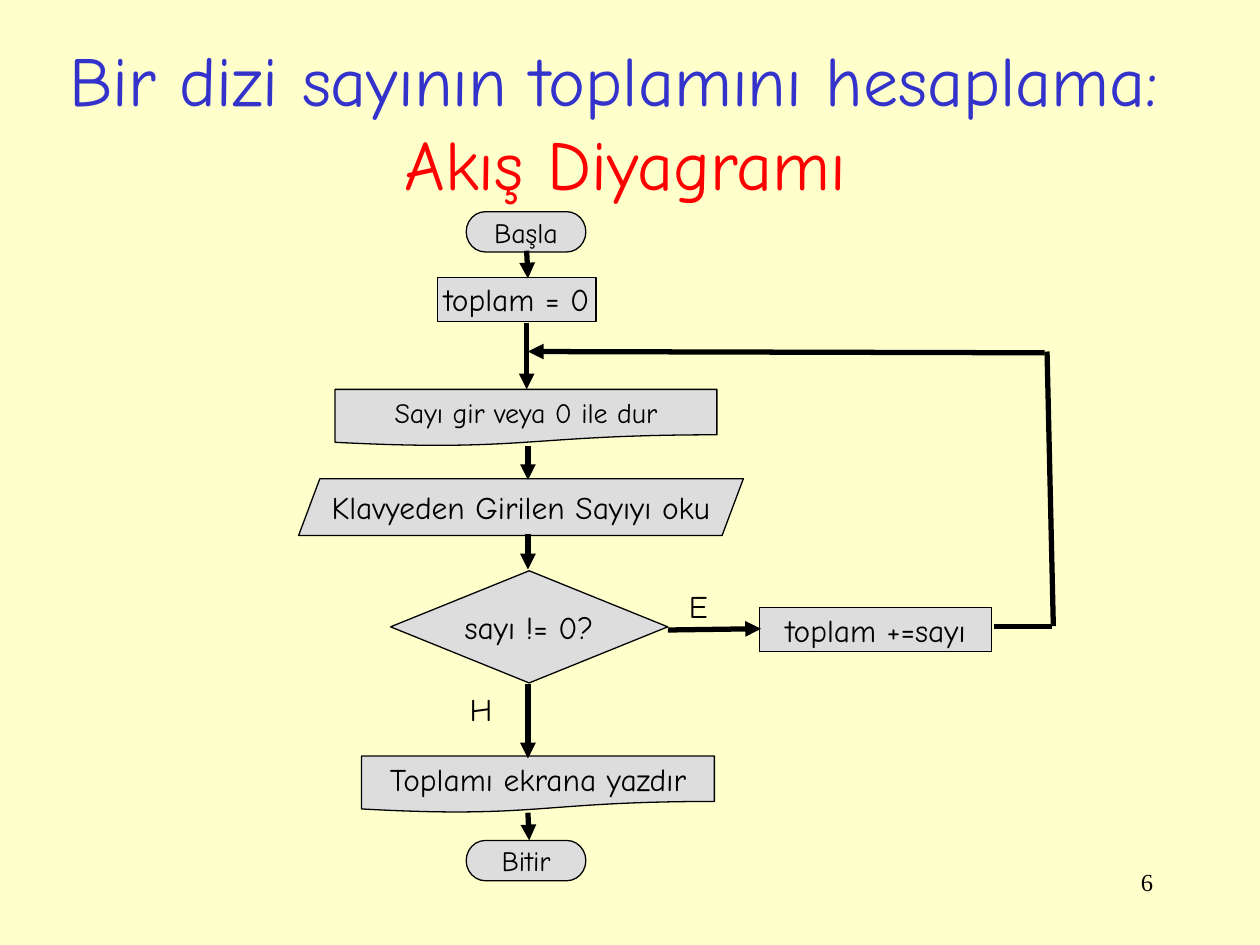
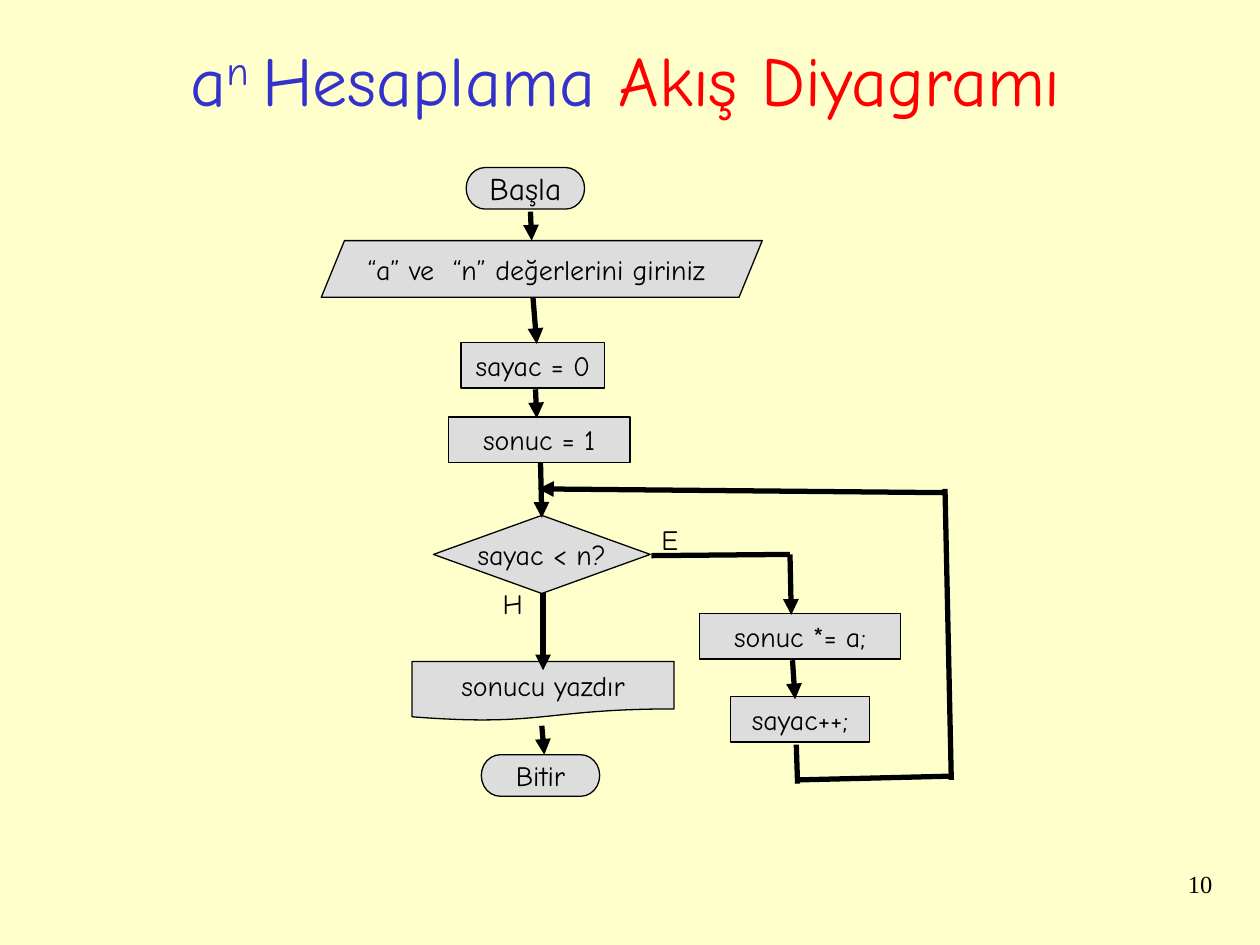
from lxml.etree import SubElement as Sub
from pptx import Presentation
from pptx.dml.color import RGBColor
from pptx.enum.shapes import MSO_CONNECTOR, MSO_SHAPE as Kind
from pptx.enum.text import MSO_ANCHOR as Anchor, PP_ALIGN as Align
from pptx.oxml.ns import qn
from pptx.util import Inches, Pt

CREAM = RGBColor(0xFF, 0xFF, 0xCC)
BLUE = RGBColor(0x33, 0x33, 0xCC)
RED = RGBColor(0xFF, 0, 0)
BLACK = RGBColor(0, 0, 0)
GREY = RGBColor(0xDD, 0xDD, 0xDD)
COMIC, TIMES = "Comic Neue", "Times New Roman"

deck = Presentation()
deck.slide_width, deck.slide_height = Inches(10), Inches(7.5)
COL, ROW = deck.slide_width / 10, deck.slide_height / 7.5
back = deck.slide_master.background.fill
back.solid()
back.fore_color.rgb = CREAM


def grid(x, y, *rest):
    steps = (COL, ROW) * 2
    return [round(n * step) for n, step in zip((x, y, *rest), steps)]


def write(para, text, size, color=BLACK, font=COMIC, base=0):
    run = para.add_run()
    run.text = text
    run.font.size, run.font.name = Pt(size), font
    run.font.color.rgb = color
    if base:
        run._r.get_or_add_rPr().set("baseline", str(base * 1000))


def title(page, box, lines):
    frame = page.shapes.add_textbox(*grid(*box)).text_frame
    frame.word_wrap = True
    frame.vertical_anchor = Anchor.MIDDLE
    para = frame.paragraphs[0]
    para.alignment = Align.CENTER
    for i, line in enumerate(lines):
        if i:
            para.add_line_break()
        for text, color, base in line:
            write(para, text, 40, color, base=base)


def number(page, box, text):
    frame = page.shapes.add_textbox(*grid(*box)).text_frame
    frame.word_wrap = True
    para = frame.paragraphs[0]
    para.alignment = Align.RIGHT
    write(para, text, 14, font=TIMES)


def step(shapes, kind, box, text, size):
    shape = shapes.add_shape(kind, *grid(*box))
    shape.shadow.inherit = False
    shape.fill.solid()
    shape.fill.fore_color.rgb = GREY
    shape.line.color.rgb, shape.line.width = BLACK, Pt(0.75)
    frame = shape.text_frame
    frame.word_wrap = False
    frame.vertical_anchor = Anchor.MIDDLE
    para = frame.paragraphs[0]
    para.alignment = Align.CENTER
    write(para, text, size)
    return shape


def label(shapes, box, text, size):
    frame = shapes.add_textbox(*grid(*box)).text_frame
    frame.word_wrap = False
    write(frame.paragraphs[0], text, size)


def link(shapes, start, end, tip):
    line = shapes.add_connector(MSO_CONNECTOR.STRAIGHT, *grid(*start), *grid(*end))
    line.line.color.rgb, line.line.width = BLACK, Pt(3)
    if tip:
        Sub(line.line._get_or_add_ln(), qn("a:tailEnd"), type="triangle")
    Sub(line._element.spPr, qn("a:effectLst"))


def flow(shapes, left, top, steps, labels, arrows, lines):
    made = [step(shapes, kind, (left + x, top + y, w, h), text, size)
            for kind, x, y, w, h, text, size in steps]
    for x, y, text, size in labels:
        label(shapes, (left + x, top + y, 0.36, 0.4), text, size)
    for paths, tip in ((arrows, True), (lines, False)):
        for x, y, u, v in paths:
            link(shapes, (left + x, top + y), (left + u, top + v), tip)
    return made


def sheet():
    return deck.slides.add_slide(deck.slide_layouts[6])


END, DOC, ASK = Kind.FLOWCHART_TERMINATOR, Kind.FLOWCHART_DOCUMENT, Kind.FLOWCHART_DECISION
READ, RECT = Kind.PARALLELOGRAM, Kind.RECTANGLE


def total():
    page = sheet()
    number(page, (7.17, 6.83, 2.08, 0.5), "6")
    title(page, (0.19, 0.26, 9.55, 1.39), [
        [("Bir dizi sayının toplamını hesaplama: ", BLUE, 0)],
        [("Akış Diyagramı", RED, 0)],
    ])
    made = flow(
        page.shapes, 2.3, 1.6,
        steps=[
            (END, 1.4, 0.08, 0.95, 0.32, "Başla", 16),
            (RECT, 1.17, 0.6, 1.26, 0.35, "toplam = 0", 18),
            (DOC, 0.36, 1.49, 3.03, 0.45, "Sayı gir veya 0 ile dur", 16),
            (READ, 0.07, 2.2, 3.53, 0.45, "Klavyeden Girilen Sayıyı oku", 18),
            (ASK, 0.8, 2.93, 2.2, 0.89, "sayı != 0?", 18),
            (RECT, 3.73, 3.22, 1.84, 0.35, "toplam +=sayı", 18),
            (DOC, 0.57, 4.4, 2.8, 0.45, "Toplamı ekrana yazdır", 18),
            (END, 1.4, 5.07, 0.95, 0.32, "Bitir", 16),
        ],
        labels=[(1.33, 3.83, "H", 18), (3.07, 3.01, "E", 18)],
        arrows=[
            (1.88, 0.39, 1.89, 0.61),
            (1.88, 0.96, 1.88, 1.49),
            (1.89, 1.94, 1.89, 2.21),
            (1.89, 2.64, 1.89, 2.92),
            (1.89, 3.83, 1.89, 4.42),
            (1.89, 4.85, 1.9, 5.07),
            (3, 3.4, 3.74, 3.39),
            (5.99, 1.2, 1.89, 1.19),
        ],
        lines=[(5.59, 3.37, 6.05, 3.37), (6.06, 3.37, 6.01, 1.19)],
    )
    made[3].adjustments[0] = 0.375


def power():
    page = sheet()
    number(page, (7.64, 6.85, 2.08, 0.5), "10")
    title(page, (0.19, 0.26, 9.55, 0.72), [[
        ("a", BLUE, 0), ("n ", BLUE, 30),
        ("Hesaplama ", BLUE, 0), ("Akış Diyagramı", RED, 0),
    ]])
    made = flow(
        page.shapes.add_group_shape().shapes, 2.5, 1.3,
        steps=[
            (END, 1.2, 0.03, 0.94, 0.33, "Başla", 18),
            (READ, 0.05, 0.61, 3.5, 0.45, "“a” ve  “n” değerlerini giriniz", 16),
            (RECT, 1.16, 1.42, 1.14, 0.36, "sayac = 0", 16),
            (RECT, 1.06, 2.01, 1.44, 0.36, "sonuc = 1", 16),
            (ASK, 0.94, 2.79, 1.72, 0.62, "sayac < n?", 16),
            (RECT, 3.05, 3.57, 1.6, 0.36, "sonuc *= a;", 16),
            (RECT, 3.3, 4.23, 1.1, 0.36, "sayac++;", 16),
            (DOC, 0.77, 3.95, 2.08, 0.47, "sonucu yazdır", 16),
            (END, 1.32, 4.69, 0.94, 0.33, "Bitir", 16),
        ],
        labels=[(1.39, 3.31, "H", 16), (2.65, 2.8, "E", 16)],
        arrows=[
            (1.71, 0.38, 1.72, 0.61),
            (1.73, 1.06, 1.76, 1.43),
            (1.75, 1.79, 1.76, 2.02),
            (1.79, 2.37, 1.8, 2.81),
            (1.81, 3.41, 1.81, 4.02),
            (1.8, 4.46, 1.82, 4.69),
            (3.77, 3.1, 3.78, 3.58),
            (3.79, 3.94, 3.81, 4.25),
            (4.99, 2.61, 1.77, 2.58),
        ],
        lines=[
            (2.67, 3.11, 3.77, 3.1),
            (3.82, 4.61, 3.83, 4.92),
            (3.83, 4.89, 5.05, 4.86),
            (5.05, 4.89, 5, 2.58),
        ],
    )
    made[1].adjustments[0] = 0.41
    frame = made[1].text_frame
    frame.margin_left = 0
    frame.paragraphs[0].alignment = Align.LEFT


total()
power()
deck.save("out.pptx")
